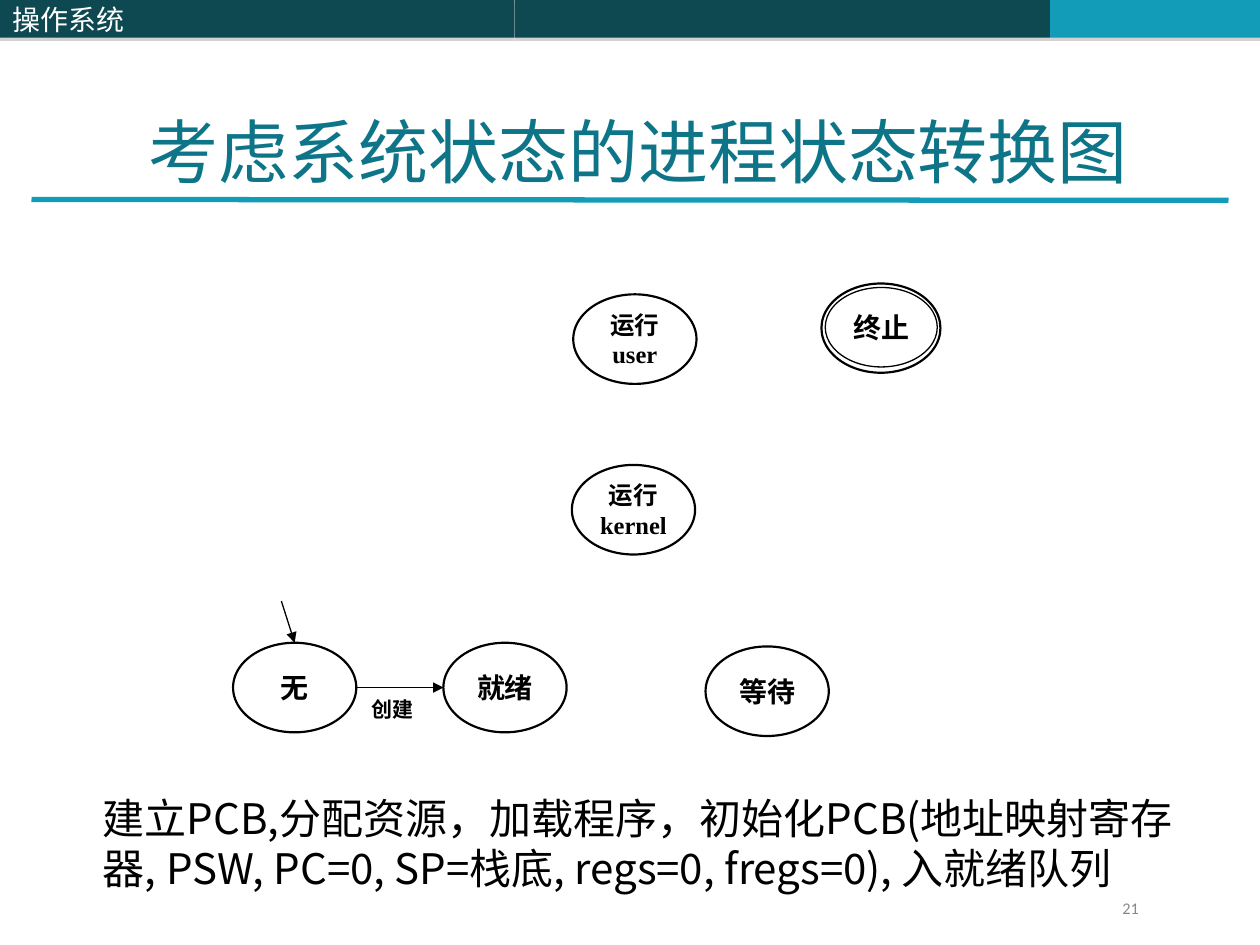
from lxml import etree
from pptx import Presentation
from pptx.dml.color import RGBColor
from pptx.enum.shapes import MSO_CONNECTOR, MSO_SHAPE
from pptx.enum.text import MSO_ANCHOR, PP_ALIGN
from pptx.oxml import parse_xml
from pptx.oxml.ns import nsdecls, qn
from pptx.util import Pt

OVAL, RECT, LINE = MSO_SHAPE.OVAL, MSO_SHAPE.RECTANGLE, MSO_CONNECTOR.STRAIGHT
LEFT, MID, RIGHT = PP_ALIGN.LEFT, PP_ALIGN.CENTER, PP_ALIGN.RIGHT
TOP, CENTER = MSO_ANCHOR.TOP, MSO_ANCHOR.MIDDLE
SANS, SERIF, SMALL = "Noto Sans CJK SC", "Times New Roman", "Calibri"
DARK, TEAL, BLACK, WHITE = "0E4851", "139CB7", "000000", "FFFFFF"


def color(code):
    return RGBColor.from_string(code)


def write(shape, text, size, font, code=BLACK, bold=False, align=LEFT,
          anchor=CENTER, pad=(7.2, 3.6)):
    frame = shape.text_frame
    frame.text = text
    frame.word_wrap = True
    frame.vertical_anchor = anchor
    frame.margin_left = frame.margin_right = Pt(pad[0])
    frame.margin_top = frame.margin_bottom = Pt(pad[1])
    for para in frame.paragraphs:
        para.alignment = align
        para.line_spacing = Pt(round(size * 1.2, 1))
        for run in para.runs:
            run.font.size, run.font.name, run.font.bold = Pt(size), font, bold
            run.font.color.rgb = color(code)
            east = etree.SubElement(run.font._element, qn("a:ea"))
            east.set("typeface", SANS)


def draw(slide, kind, box, fill=None, line=None, width=0.75):
    shape = slide.shapes.add_shape(kind, *map(Pt, box))
    shape.shadow.inherit = False
    if fill:
        shape.fill.solid()
        shape.fill.fore_color.rgb = color(fill)
    else:
        shape.fill.background()
    if line:
        shape.line.color.rgb = color(line)
        shape.line.width = Pt(width)
    else:
        shape.line.fill.background()
    return shape


def link(slide, start, end, code=BLACK, width=0.75, arrow=True):
    line = slide.shapes.add_connector(LINE, *map(Pt, start + end))
    line.line.color.rgb = color(code)
    line.line.width = Pt(width)
    if arrow:
        tail = etree.SubElement(line.line._get_or_add_ln(), qn("a:tailEnd"))
        tail.set("type", "triangle")
    etree.SubElement(line._element.spPr, qn("a:effectLst"))
    return line


def note(slide, box, *args, **style):
    write(slide.shapes.add_textbox(*map(Pt, box)), *args, **style)


def header(slide, box):
    left, top, wide, high = box
    edges = [0, 294, 600, wide]
    for start, end, fill in zip(edges, edges[1:], (DARK, DARK, TEAL)):
        bar = draw(slide, RECT, (left + start, top, end - start, high), fill)
        # Soft grey edge below the bar
        bar._element.spPr.find(qn("a:effectLst")).append(parse_xml(
            f'<a:outerShdw {nsdecls("a")} dist="22860" dir="5400000">'
            '<a:srgbClr val="808080"><a:alpha val="35000"/></a:srgbClr>'
            '</a:outerShdw>'))
        if start == 0:
            write(bar, "操作系统", 16, SANS, WHITE)


def heading(slide, box):
    title = slide.shapes.title
    title.left, title.top, title.width, title.height = map(Pt, box)
    write(title, "考虑系统状态的进程状态转换图", 40, SERIF, "0E7589")
    link(slide, (18, 114), (702, 114.5), TEAL, 3, arrow=False)


def diagram(slide, box):
    left, top = box[:2]
    wide, high = 70.4, 51.2

    def state(x, y, text, size=16):
        oval = draw(slide, OVAL, (left + x, top + y, wide, high),
                    WHITE, BLACK, 1.25)
        write(oval, text, size, SERIF, bold=True, align=MID, pad=(2.9, 2.9))
        return oval

    # States
    state(194.4, 6.2, "运行\nuser", 14)
    state(193.6, 103.7, "运行\nkernel", 14)
    state(270, 207.4, "等待")
    state(120.2, 205.3, "就绪")
    none = state(0, 205.3, "无")

    # Final state: a double ring
    inner = draw(slide, OVAL, (left + 338.4, top + 2.3, 64, 45.4), WHITE, BLACK)
    write(inner, "终止", 16, SERIF, bold=True, align=MID, pad=(2.9, 2.9))
    draw(slide, OVAL, (left + 336.2, top, 68, 51), None, BLACK, 1.25)

    # Transitions
    row = top + 205.3 + high / 2
    link(slide, (left + wide, row), (left + 120.2, row))
    entry = link(slide, (left + 27.6, top + 181.5),
                 (left + wide / 2, top + 205.3))
    entry.end_connect(none, 0)
    label = draw(slide, RECT, (left + 77.8, row + 4.5, 34.6, 23.8),
                 WHITE, WHITE)
    write(label, "创建", 12, SERIF, bold=True, anchor=TOP, pad=(1.4, 0.7))


def main():
    deck = Presentation()
    deck.slide_width, deck.slide_height = Pt(720), Pt(540)
    slide = deck.slides.add_slide(deck.slide_layouts[5])
    header(slide, (0, 0, 720, 21.6))
    heading(slide, (77.8, 58.3, 591.8, 55.4))
    diagram(slide, (133.2, 162, 404, 258))
    # Explanation and page number
    note(slide, (51.8, 449.3, 645.1, 80),
         "建立PCB,分配资源，加载程序，初始化PCB(地址映射寄存器, PSW, PC=0, "
         "SP=栈底, regs=0, fregs=0), 入就绪队列", 24, SANS, anchor=TOP)
    note(slide, (540, 509, 117.8, 19.4), "21", 9.3, SMALL, "898989",
         align=RIGHT)
    deck.save("out.pptx")


if __name__ == "__main__":
    main()
